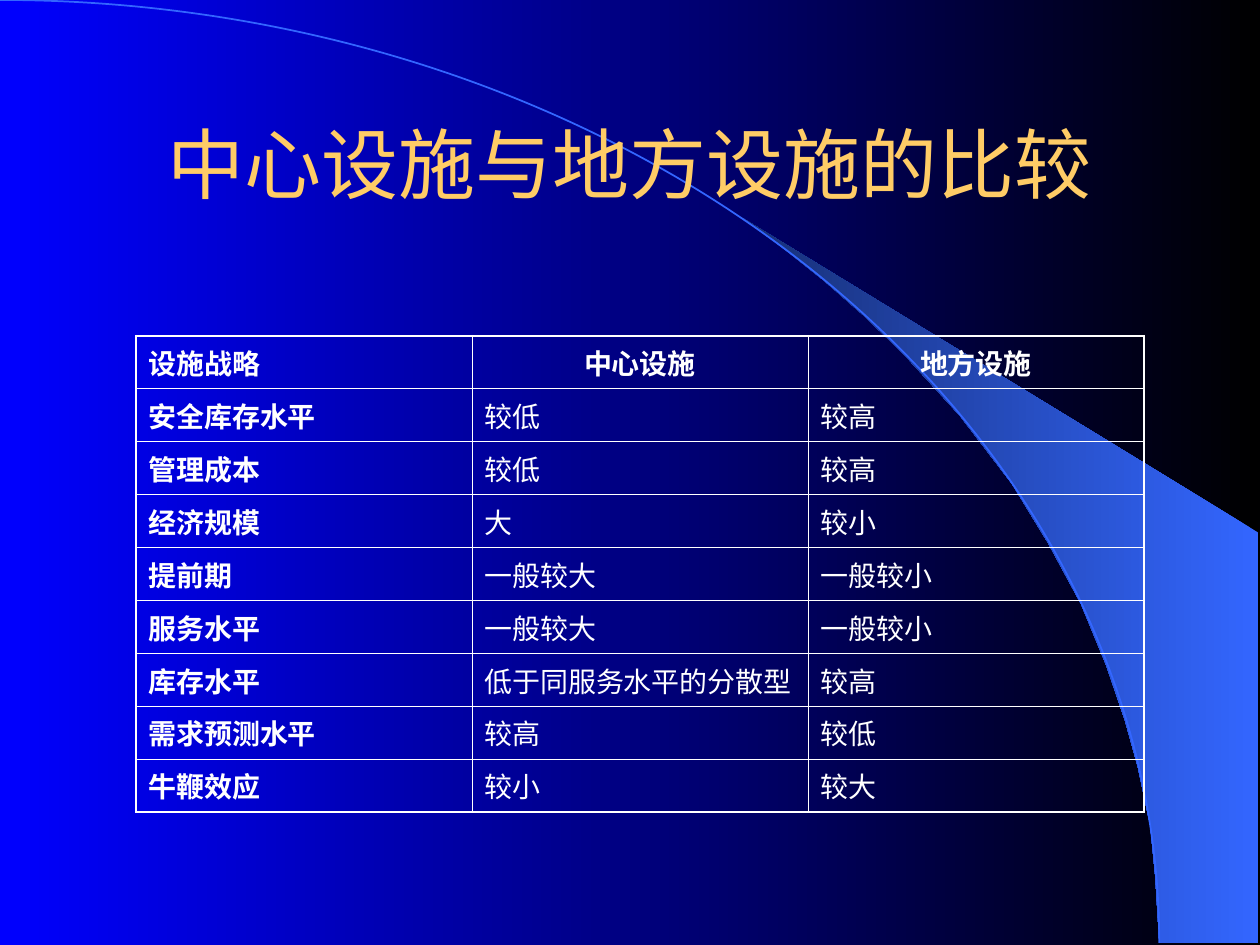
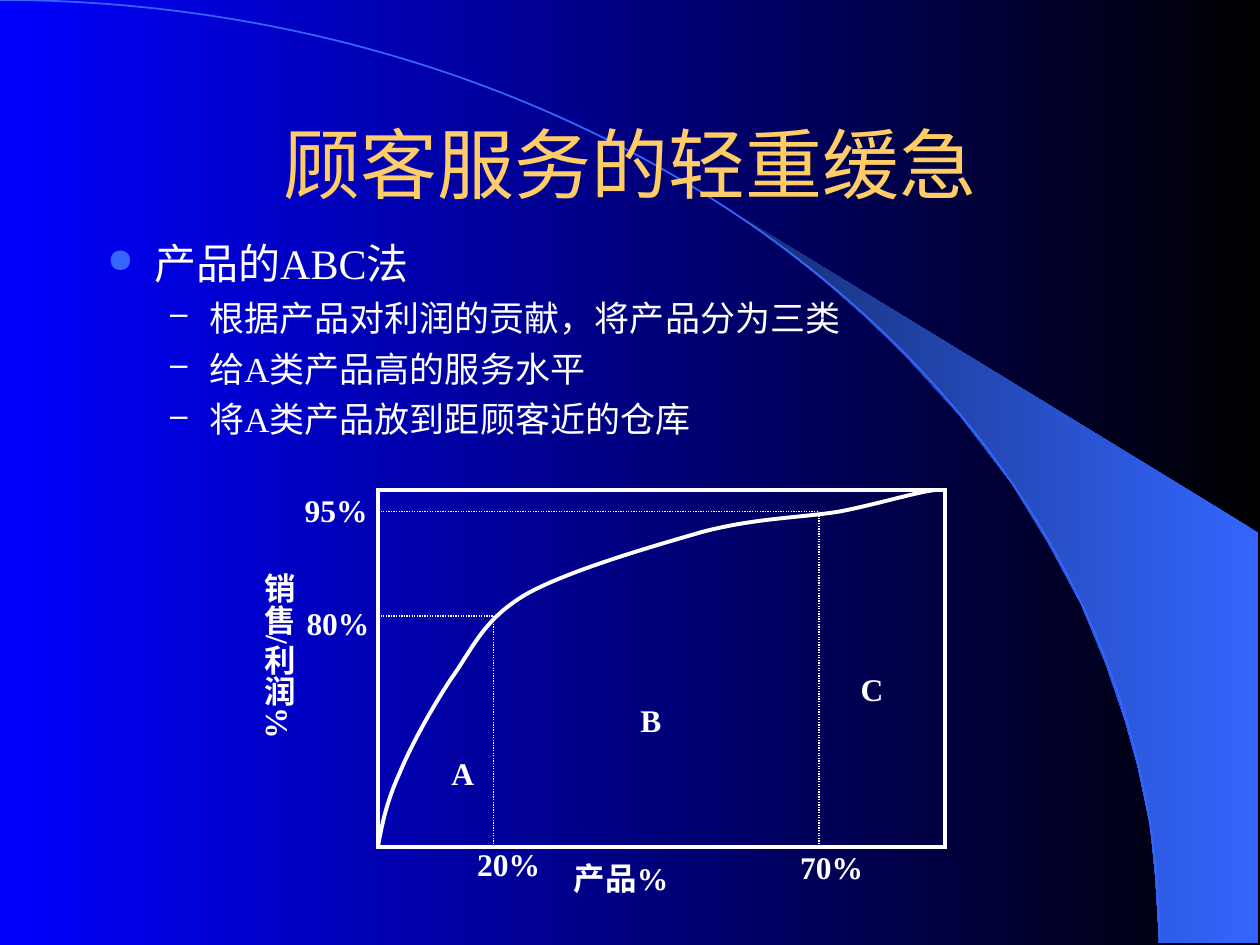
from dataclasses import dataclass
from itertools import product

from lxml.etree import SubElement
from pptx import Presentation
from pptx.dml.color import RGBColor
from pptx.enum.dml import MSO_LINE
from pptx.enum.shapes import MSO_CONNECTOR, MSO_SHAPE
from pptx.enum.text import MSO_ANCHOR, MSO_AUTO_SIZE, PP_ALIGN
from pptx.oxml.ns import qn
from pptx.util import Cm, Pt


@dataclass(frozen=True)
class Theme:
    night: str = "000000"
    blue: str = "0000FF"
    accent: str = "3366FF"
    shade: str = "172F75"
    gold: str = "FFCC66"
    white: str = "FFFFFF"
    title_font: str = "Arial"
    body_font: str = "Times New Roman"
    title_size: float = 44
    cell_size: float = 16
    label_size: float = 18
    outer_border: float = 1.08
    inner_border: float = 0.45


THEME = Theme()

WEDGE = [
    (23.37, 19), (25.37, 19.02), (25.37, 10.74), (14.96, 4.39), (15.85, 5.05),
    (16.59, 5.64), (17.4, 6.35), (18.19, 7.11), (19.35, 8.38), (20.4, 9.75),
    (21.13, 10.95), (21.79, 12.17), (22.3, 13.41), (22.68, 14.53),
    (22.94, 15.47), (23.19, 16.66), (23.29, 17.68),
]
ARC_FRAME = (-23.37, 0, 46.74, 38.02)

FACILITY_TITLE = "中心设施与地方设施的比较"
FACILITY_ROWS = [
    ("设施战略", "中心设施", "地方设施"),
    ("安全库存水平", "较低", "较高"),
    ("管理成本", "较低", "较高"),
    ("经济规模", "大", "较小"),
    ("提前期", "一般较大", "一般较小"),
    ("服务水平", "一般较大", "一般较小"),
    ("库存水平", "低于同服务水平的分散型", "较高"),
    ("需求预测水平", "较高", "较低"),
    ("牛鞭效应", "较小", "较大"),
]

SERVICE_TITLE = "顾客服务的轻重缓急"
SERVICE_POINTS = [
    (0, "产品的ABC法"),
    (1, "根据产品对利润的贡献，将产品分为三类"),
    (1, "给A类产品高的服务水平"),
    (1, "将A类产品放到距顾客近的仓库"),
]
POINT_LEVELS = [
    dict(margin=0.95, hang=0.95, mark="●", color=THEME.accent, percent=80, size=24, before=6),
    dict(margin=2.06, hang=0.79, mark="–", color=THEME.white, percent=90, size=20, before=5),
]

PLOT = dict(left=7.62, top=9.88, width=11.43, height=7.19)
CLASS_LIMITS = [(9.95, 12.42), (16.51, 10.31)]
ABC_CURVE = [
    (7.62, 17.07),
    (7.7, 16.61), (7.8, 16.15), (8.05, 15.6),
    (8.28, 15.04), (8.69, 14.3), (9.09, 13.69),
    (9.53, 13.08), (9.73, 12.5), (10.59, 11.99),
    (11.43, 11.51), (13.13, 11.02), (14.17, 10.72),
    (15.24, 10.44), (16.15, 10.44), (16.94, 10.31),
    (17.7, 10.16), (18.52, 9.91), (18.85, 9.88),
]
PLOT_LABELS = [
    ("80%", 5.93, 12.05, 1.78),
    ("95%", 5.89, 9.78, 1.78),
    ("产品%", 11.32, 17.2, 2.57),
    ("20%", 9.37, 16.92, 1.78),
    ("70%", 15.88, 16.97, 1.78),
    ("A", 8.85, 15.07, 0.97),
    ("B", 12.66, 14.01, 0.91),
    ("C", 17.1, 13.39, 0.97),
]
VERTICAL_LABEL = ("销售/利润%", 4.86, 11.3, 1.27, 4.06)


def rgb(color):
    return RGBColor.from_string(color)


def lengths(*values):
    return [Cm(value) for value in values]


def paint_gradient(fill, first, last):
    fill.gradient()
    fill.gradient_angle = 180
    for stop, color, position in zip(fill.gradient_stops, (first, last), (0, 1)):
        stop.color.rgb = rgb(color)
        stop.position = position


def paint_line(line, color, width):
    line.color.rgb = rgb(color)
    line.width = Pt(width)


def add_span(para, text, size, color=THEME.white, font=THEME.body_font, bold=False):
    span = para.add_run()
    span.text = text
    span.font.size = Pt(size)
    span.font.name = font
    span.font.bold = bold
    span.font.color.rgb = rgb(color)


def add_outline(page, points, closed=False):
    corners = [lengths(*point) for point in points]
    builder = page.shapes.build_freeform(*corners[0])
    builder.add_line_segments(corners[1:], close=closed)
    shape = builder.convert_to_shape()
    shape.shadow.inherit = False
    return shape


def add_hollow(page, preset, frame, color, width):
    shape = page.shapes.add_shape(preset, *lengths(*frame))
    shape.shadow.inherit = False
    shape.fill.background()
    paint_line(shape.line, color, width)
    return shape


def add_curve(page, controls, color, width):
    curve = add_outline(page, controls)
    curve.fill.background()
    paint_line(curve.line, color, width)
    outline = next(curve.element.iter(qn("a:path")))
    segments = outline.findall(qn("a:lnTo"))
    for start in range(0, len(segments), 3):
        bend = SubElement(outline, qn("a:cubicBezTo"))
        for segment in segments[start:start + 3]:
            bend.append(segment[0])
            outline.remove(segment)


def add_box(page, left, top, width, height, wrap=True):
    box = page.shapes.add_textbox(*lengths(left, top, width, height))
    box.text_frame.word_wrap = wrap
    return box


def add_page(deck, title):
    page = deck.slides.add_slide(deck.slide_layouts[6])
    paint_gradient(page.background.fill, THEME.night, THEME.blue)
    wedge = add_outline(page, WEDGE, closed=True)
    paint_gradient(wedge.fill, THEME.accent, THEME.shade)
    wedge.line.fill.background()
    add_hollow(page, MSO_SHAPE.ARC, ARC_FRAME, THEME.accent, 1)
    frame = add_box(page, 1.9, 1.7, 21.6, 3.18).text_frame
    frame.vertical_anchor = MSO_ANCHOR.MIDDLE
    para = frame.paragraphs[0]
    para.alignment = PP_ALIGN.CENTER
    add_span(para, title, THEME.title_size, THEME.gold, THEME.title_font)
    return page


def set_borders(cell, outer_sides):
    properties = cell._tc.get_or_add_tcPr()
    for side in "LRTB":
        width = THEME.outer_border if side in outer_sides else THEME.inner_border
        border = SubElement(properties, qn(f"a:ln{side}"), w=str(Pt(width)))
        fill = SubElement(border, qn("a:solidFill"))
        SubElement(fill, qn("a:srgbClr"), val=THEME.white)


def add_facility_table(page):
    row_count, column_count = len(FACILITY_ROWS), len(FACILITY_ROWS[0])
    table = page.shapes.add_table(
        row_count, column_count, *lengths(2.74, 6.77, 20.32, 9.61)
    ).table
    table.first_row = table.horz_banding = False
    for row, column in product(range(row_count), range(column_count)):
        cell = table.cell(row, column)
        edges = {"L": column == 0, "R": column == column_count - 1,
                 "T": row == 0, "B": row == row_count - 1}
        set_borders(cell, [side for side, outer in edges.items() if outer])
        cell.fill.background()
        para = cell.text_frame.paragraphs[0]
        if row == 0 and column > 0:
            para.alignment = PP_ALIGN.CENTER
        add_span(para, FACILITY_ROWS[row][column], THEME.cell_size,
                 bold=row == 0 or column == 0)


def add_bullet(para, level):
    properties = para._p.get_or_add_pPr()
    properties.set("marL", str(Cm(level["margin"])))
    properties.set("indent", str(-Cm(level["hang"])))
    color = SubElement(properties, qn("a:buClr"))
    SubElement(color, qn("a:srgbClr"), val=level["color"])
    SubElement(properties, qn("a:buSzPct"), val=str(level["percent"] * 1000))
    SubElement(properties, qn("a:buChar"), char=level["mark"])


def add_service_points(page):
    frame = add_box(page, 1.91, 4.66, 21.6, 11.43).text_frame
    for index, (depth, text) in enumerate(SERVICE_POINTS):
        level = POINT_LEVELS[depth]
        para = frame.add_paragraph() if index else frame.paragraphs[0]
        para.level = depth
        add_bullet(para, level)
        if index:
            para.space_before = Pt(level["before"])
        add_span(para, text, level["size"])


def add_guide(page, start, end):
    guide = page.shapes.add_connector(MSO_CONNECTOR.STRAIGHT, *lengths(*start, *end))
    paint_line(guide.line, THEME.white, 0.75)
    guide.line.dash_style = MSO_LINE.ROUND_DOT
    SubElement(guide.element.spPr, qn("a:effectLst"))


def add_label(page, text, left, top, width, height=1.02):
    box = add_box(page, left, top, width, height, wrap=False)
    box.text_frame.auto_size = MSO_AUTO_SIZE.SHAPE_TO_FIT_TEXT
    add_span(box.text_frame.paragraphs[0], text, THEME.label_size, bold=True)
    return box


def add_abc_plot(page):
    frame = add_hollow(page, MSO_SHAPE.RECTANGLE, PLOT.values(), THEME.white, 2.25)
    SubElement(frame.element.spPr.find(qn("a:ln")), qn("a:miter"), lim="800000")
    bottom = PLOT["top"] + PLOT["height"]
    for x, y in CLASS_LIMITS:
        add_guide(page, (x, bottom), (x, y))
        add_guide(page, (PLOT["left"], y), (x, y))
    add_curve(page, ABC_CURVE, THEME.white, 2.25)
    for label in PLOT_LABELS:
        add_label(page, *label)
    axis_box = add_label(page, *VERTICAL_LABEL)
    axis_box.element.txBody.bodyPr.set("vert", "eaVert")
    axis = axis_box.text_frame
    axis.margin_left = axis.margin_right = Cm(0.13)
    axis.margin_top = axis.margin_bottom = Cm(0.25)


def main():
    deck = Presentation()
    deck.slide_width, deck.slide_height = lengths(25.4, 19.05)
    add_facility_table(add_page(deck, FACILITY_TITLE))
    service_page = add_page(deck, SERVICE_TITLE)
    add_service_points(service_page)
    add_abc_plot(service_page)
    deck.save("out.pptx")


if __name__ == "__main__":
    main()
